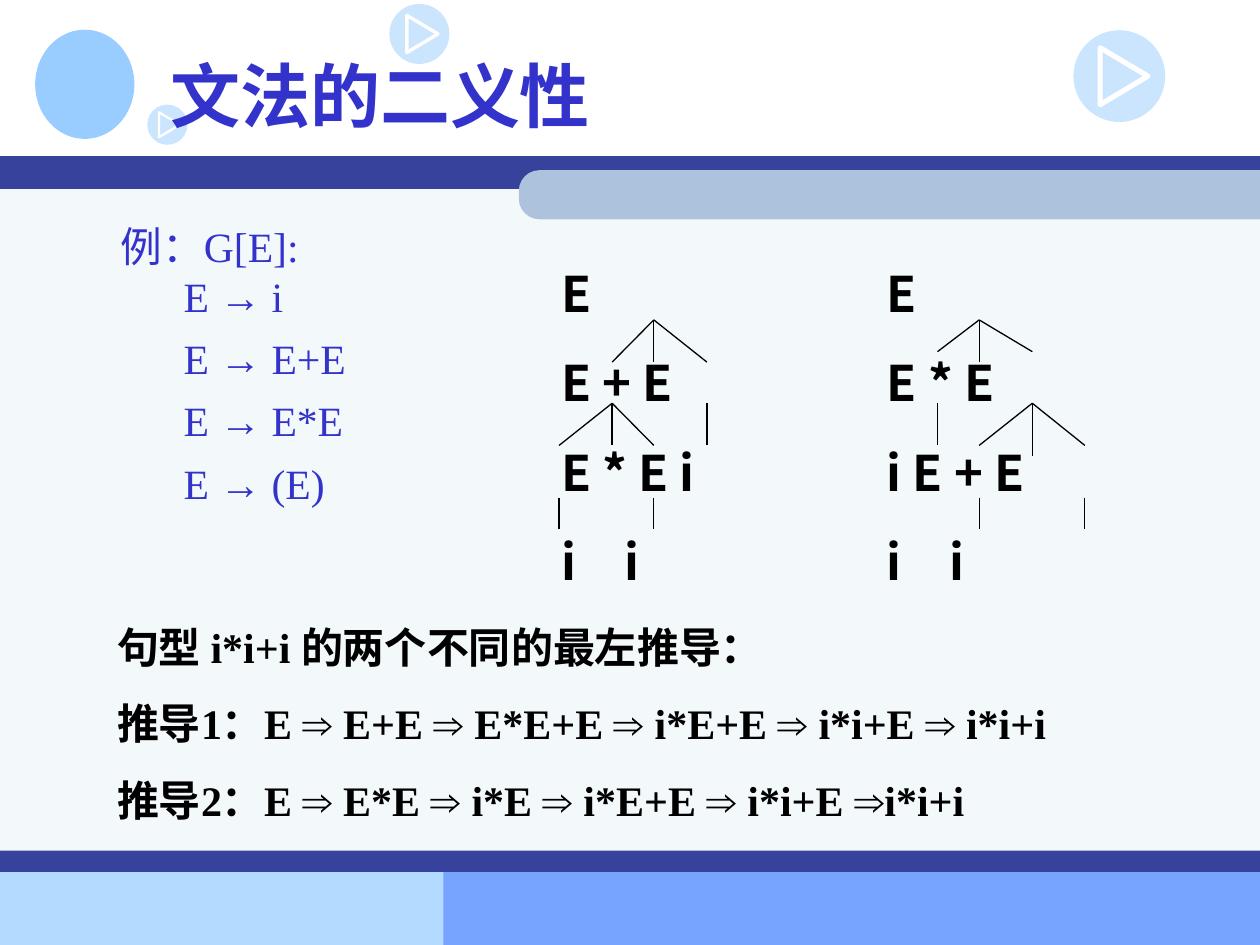
import pptx
import pptx.util
import pptx.dml.color
import pptx.enum.shapes
import pptx.enum.text
import pptx.oxml
import pptx.oxml.ns
from dataclasses import dataclass
from lxml import etree

Cm, Pt = pptx.util.Cm, pptx.util.Pt
SHAPE = pptx.enum.shapes.MSO_SHAPE
ALIGN = pptx.enum.text.PP_ALIGN
ANCHOR = pptx.enum.text.MSO_ANCHOR
AUTO = pptx.enum.text.MSO_AUTO_SIZE
qn = pptx.oxml.ns.qn


@dataclass(frozen=True)
class Theme:
    navy: str = "36429B"
    paper: str = "F3F8FB"
    steel: str = "ADC3DD"
    pale: str = "B5DAFF"
    sky: str = "77A4FF"
    icon: str = "99CCFF"
    white: str = "FFFFFF"
    accent: str = "3333CC"
    ink: str = "000000"
    cjk: str = "Noto Sans CJK SC"
    serif: str = "Times New Roman"
    symbol: str = "Arial"
    title_size: float = 40
    rule_size: float = 23.8
    tree_size: float = 28
    text_size: float = 24


T = Theme()

TITLE = "文法的二义性"
RULES = ["例：G[E]:\v\tE → i", "\tE → E+E", "\tE → E*E", "\tE → (E)"]
DERIVATIONS = [
    "句型 i*i+i 的两个不同的最左推导：",
    "推导1：E ⇒ E+E ⇒ E*E+E ⇒ i*E+E ⇒ i*i+E ⇒ i*i+i",
    "推导2：E ⇒ E*E ⇒ i*E ⇒ i*E+E ⇒ i*i+E ⇒i*i+i",
]

# left, top, width, height in cm
BANDS = [
    (0, 17.58, 11.28, 1.47, T.pale),
    (8.94, 17.55, 16.46, 1.5, T.sky),
    (0, 3.56, 25.4, 14, T.paper),
    (0, 3.15, 25.4, 0.66, T.navy),
    (0, 17.15, 25.4, 0.43, T.navy),
]
PLAY_ICONS = [(7.85, 0.08, 1.21), (21.64, 0.61, 1.85), (2.97, 2.11, 0.81)]

# Each row: indent step and text. Each branch: level, parent column, child column, drop
INDENT, LEAF_GAP = 0.45, 0.93
COLUMNS = [1.47, 2.54, 3.38, 4.45, 5.51]
LEVELS = [1.27, 2.95, 4.85]
LONG, SHORT, STEM = 0.85, 0.64, 1.07
TREES = [
    dict(left=9.8,
         rows=[(3, "E"), (2, "E + E"), (1, "E * E i"), (1, "i\ti")],
         branches=[(0, 2, 2, LONG), (0, 2, 1, LONG), (0, 2, 3, LONG),
                   (1, 1, 1, LONG), (1, 1, 0, LONG), (1, 1, 2, LONG),
                   (1, 3, 3, LONG), (2, 0, 0, SHORT), (2, 2, 2, SHORT)]),
    dict(left=16.36,
         rows=[(3, "E"), (2, "E * E"), (2, "i E + E"), (3, "i\ti")],
         branches=[(0, 2, 2, LONG), (0, 2, 1, SHORT), (0, 2, 3, SHORT),
                   (1, 1, 1, LONG), (1, 3, 3, STEM), (1, 3, 2, LONG),
                   (1, 3, 4, LONG), (2, 2, 2, SHORT), (2, 4, 4, SHORT)]),
]
TREE_TOP, TREE_W, TREE_H = 5.18, 6.35, 6.86


def rgb(color):
    return pptx.dml.color.RGBColor.from_string(color)


def place(s, left, top, width, height):
    s.left, s.top, s.width, s.height = Cm(left), Cm(top), Cm(width), Cm(height)


def add_filled(shapes, kind, left, top, width, height, color):
    s = shapes.add_shape(kind, Cm(left), Cm(top), Cm(width), Cm(height))
    s.shadow.inherit = False
    s.fill.solid()
    s.fill.fore_color.rgb = rgb(color)
    s.line.fill.background()
    return s


def add_play_icon(shapes, left, top, size):
    disc = add_filled(shapes, SHAPE.OVAL, left, top, size, size, T.icon)
    color = disc.fill._xPr.find(qn("a:solidFill"))[0]
    etree.SubElement(color, qn("a:alpha"), val="50000")
    side, depth = size * 0.62, size * 0.52
    s = shapes.add_shape(SHAPE.ISOSCELES_TRIANGLE,
                         Cm(left + size * 0.55 - side / 2),
                         Cm(top + (size - depth) / 2), Cm(side), Cm(depth))
    s.rotation = 90
    s.shadow.inherit = False
    s.fill.background()
    s.line.color.rgb = rgb(T.white)
    s.line.width = Pt(size * 1.6)


def add_line(shapes, x1, y1, x2, y2):
    c = shapes.add_connector(pptx.enum.shapes.MSO_CONNECTOR.STRAIGHT,
                             Cm(x1), Cm(y1), Cm(x2), Cm(y2))
    c.line.color.rgb = rgb(T.ink)
    c.line.width = Pt(0.75)
    etree.SubElement(c._element.spPr, qn("a:effectLst"))


def set_stops(p, stops):
    """Plain unindented paragraph with left tab stops in cm."""
    pPr = p._p.get_or_add_pPr()
    pPr.set("marL", "0")
    pPr.set("indent", "0")
    etree.SubElement(pPr, qn("a:buNone"))
    if stops:
        tabs = etree.SubElement(pPr, qn("a:tabLst"))
        for stop in stops:
            etree.SubElement(tabs, qn("a:tab"), pos=str(Cm(stop)), algn="l")


def style_run(r, font, size, color, bold):
    r.font.name, r.font.size, r.font.bold = font, Pt(size), bold
    r.font.color.rgb = rgb(color)
    etree.SubElement(r._r.get_or_add_rPr(), qn("a:ea"), typeface=T.cjk)


def fill_text(tf, lines, font, size, color, bold, gap=0, stops=None):
    """Write one paragraph per line; stops holds the tab stops of each."""
    tf.word_wrap = True
    tf.auto_size = AUTO.NONE
    for i, line in enumerate(lines):
        p = tf.paragraphs[0] if i == 0 else tf.add_paragraph()
        p.alignment = ALIGN.LEFT
        p.space_before = Pt(gap if i else 0)
        set_stops(p, stops[i] if stops else [])
        for j, part in enumerate(line.split("⇒")):
            if j:
                r = p.add_run()
                r.text = "⇒"
                style_run(r, T.symbol, size, color, bold)
            for k, piece in enumerate(part.split("\v")):
                if k:
                    p.add_line_break()
                r = p.add_run()
                r.text = piece
                style_run(r, font, size, color, bold)


def add_text(shapes, left, top, width, height, *args, **kwargs):
    s = shapes.add_textbox(Cm(left), Cm(top), Cm(width), Cm(height))
    fill_text(s.text_frame, *args, **kwargs)


def add_tree(shapes, left, rows, branches):
    stops = [[step * INDENT, step * INDENT + LEAF_GAP] for step, _ in rows]
    add_text(shapes, left, TREE_TOP, TREE_W, TREE_H,
             ["\t" + text for _, text in rows],
             T.cjk, T.tree_size, T.ink, True, 17.5, stops)
    for level, parent, child, drop in branches:
        y = TREE_TOP + LEVELS[level]
        add_line(shapes, left + COLUMNS[parent], y,
                 left + COLUMNS[child], y + drop)


def main():
    prs = pptx.Presentation()
    prs.slide_width, prs.slide_height = Cm(25.4), Cm(19.05)
    slide = prs.slides.add_slide(prs.slide_layouts[1])
    shapes = slide.shapes

    for *box, color in BANDS:
        add_filled(shapes, SHAPE.RECTANGLE, *box, color)
    left, top, width, height = 10.46, 3.43, 14.94, 0.99
    tab = add_filled(shapes, SHAPE.ROUND_2_SAME_RECTANGLE,
                     left + (width - height) / 2, top + (height - width) / 2,
                     height, width, T.steel)
    tab.rotation = 270
    tab.adjustments[0] = 0.42
    add_filled(shapes, SHAPE.OVAL, 0.71, 0.6, 2, 2.2, T.icon)
    for icon in PLAY_ICONS:
        add_play_icon(shapes, *icon)

    title, body = shapes.title, slide.placeholders[1]
    for s in (title, body):
        shapes._spTree.append(s._element)
    place(title, 3.18, 0.43, 21.59, 2.97)
    title.text_frame.vertical_anchor = ANCHOR.MIDDLE
    fill_text(title.text_frame, [TITLE], T.cjk, T.title_size, T.accent, True)
    place(body, 2.18, 4.32, 7.44, 8)
    fill_text(body.text_frame, RULES, T.serif, T.rule_size, T.accent, False,
              7, [[3.5]] * len(RULES))

    for tree in TREES:
        add_tree(shapes, **tree)
    add_text(shapes, 2.11, 12.4, 21.79, 4.37, DERIVATIONS,
             T.serif, T.text_size, T.ink, True, 15)
    prs.save("out.pptx")


if __name__ == "__main__":
    main()
